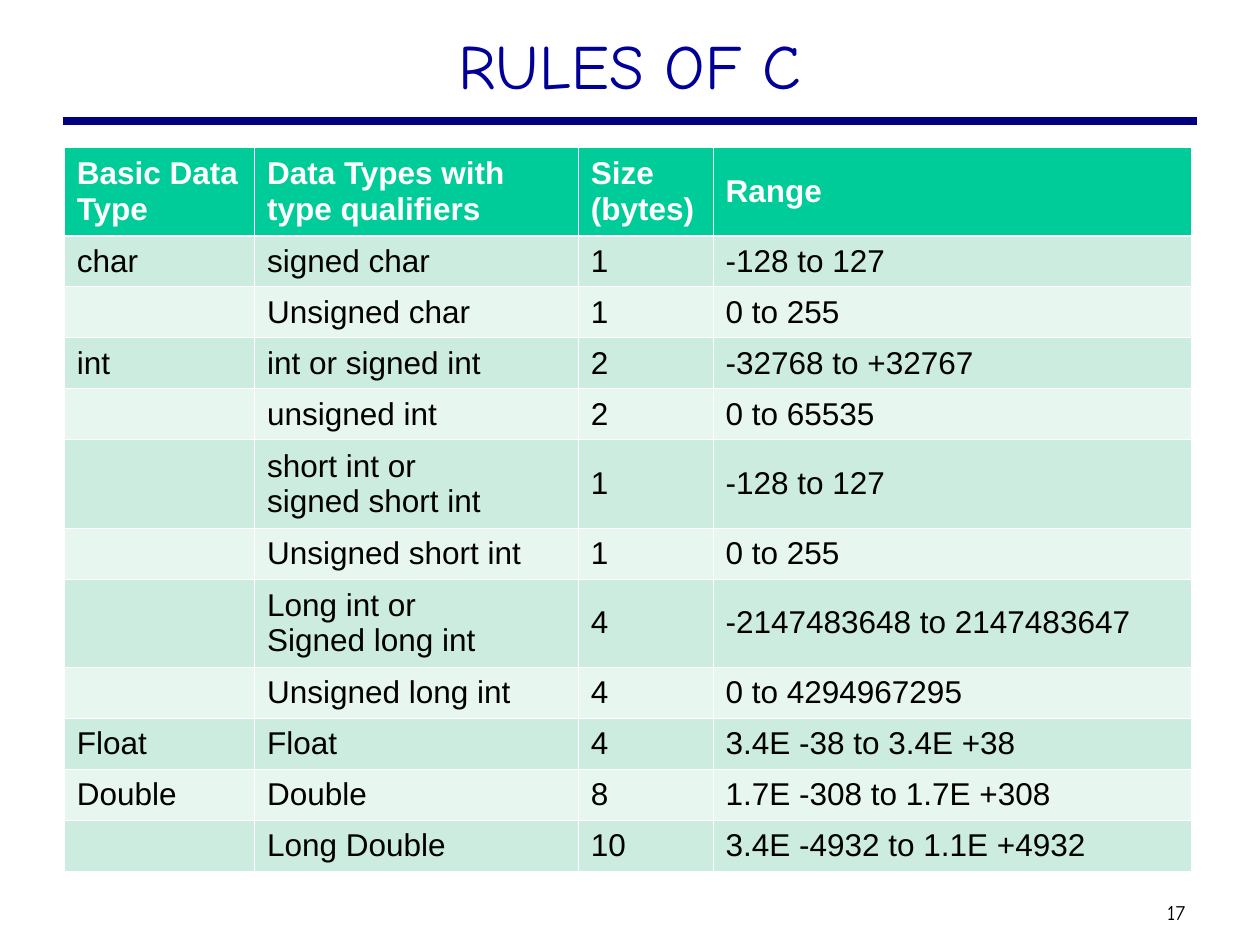
from lxml import etree
from pptx import Presentation
from pptx.dml.color import RGBColor
from pptx.enum.shapes import MSO_CONNECTOR
from pptx.enum.text import MSO_ANCHOR, PP_ALIGN
from pptx.oxml.ns import qn
from pptx.util import Inches, Pt

STRAIGHT = MSO_CONNECTOR.STRAIGHT
TOP, MIDDLE = MSO_ANCHOR.TOP, MSO_ANCHOR.MIDDLE
LEFT, CENTER = PP_ALIGN.LEFT, PP_ALIGN.CENTER

NAVY = RGBColor(0x00, 0x00, 0x80)
TITLE_BLUE = RGBColor(0x00, 0x00, 0x99)
BLACK = RGBColor(0x00, 0x00, 0x00)
WHITE = RGBColor(0xFF, 0xFF, 0xFF)
HEADER_GREEN = RGBColor(0x00, 0xCC, 0x99)
BAND_DARK = RGBColor(0xCB, 0xEC, 0xDE)
BAND_LIGHT = RGBColor(0xE7, 0xF6, 0xEF)

TITLE = "RULES OF C"
PAGE_NUMBER = "17"
HEADER = ("Basic Data Type", "Data Types with type qualifiers", "Size\n(bytes)", "Range")
DATA_TYPES = [
    ("char", "signed char", "1", "-128 to 127"),
    ("", "Unsigned char", "1", "0 to 255"),
    ("int", "int or signed int", "2", "-32768 to +32767"),
    ("", "unsigned int", "2", "0 to 65535"),
    ("", "short int or\nsigned short int", "1", "-128 to 127"),
    ("", "Unsigned short int", "1", "0 to 255"),
    ("", "Long int or\nSigned long int", "4", "-2147483648 to 2147483647"),
    ("", "Unsigned long int", "4", "0 to 4294967295"),
    ("Float", "Float", "4", "3.4E -38 to 3.4E +38"),
    ("Double", "Double", "8", "1.7E -308 to 1.7E +308"),
    ("", "Long Double", "10", "3.4E -4932 to 1.1E +4932"),
]
COLUMN_WIDTHS = (1.51, 2.57, 1.07, 3.8)
SINGLE_ROW, DOUBLE_ROW = 0.405, 0.7
THIN, THICK = 0.45, 1.47


def write(frame, text, size=18, font="Arial", color=BLACK, bold=False, align=LEFT):
    frame.word_wrap = True
    frame.text = text
    for para in frame.paragraphs:
        para.alignment = align
        para.font.size = Pt(size)
        for span in para.runs:
            span.font.size = Pt(size)
            span.font.name = font
            span.font.bold = bold
            span.font.color.rgb = color


def set_borders(cell, top, bottom):
    properties = cell._tc.get_or_add_tcPr()
    sides = (("L", THIN), ("R", THIN), ("T", top), ("B", bottom))
    for position, (side, width) in enumerate(sides):
        line = etree.Element(qn(f"a:ln{side}"), w=str(Pt(width)))
        fill = etree.SubElement(line, qn("a:solidFill"))
        etree.SubElement(fill, qn("a:srgbClr"), val=str(WHITE))
        properties.insert(position, line)


def add_rule(page):
    rule = page.shapes.add_connector(
        STRAIGHT, Inches(0.5), Inches(0.96), Inches(9.5), Inches(0.96))
    rule.line.color.rgb = NAVY
    rule.line.width = Pt(4.5)
    etree.SubElement(rule._element.spPr, qn("a:effectLst"))


def add_title(page):
    title = page.shapes.title
    title.left, title.top = Inches(0.75), Inches(0.16)
    title.width, title.height = Inches(8.5), Inches(0.8)
    title.text_frame.vertical_anchor = TOP
    write(title.text_frame, TITLE, size=36, font="Comic Neue", color=TITLE_BLUE, align=CENTER)


def add_page_number(page):
    box = page.shapes.add_textbox(Inches(9.1), Inches(7.09), Inches(0.47), Inches(0.3))
    frame = box.text_frame
    frame.margin_left = frame.margin_right = Inches(0.05)
    frame.vertical_anchor = MIDDLE
    write(frame, PAGE_NUMBER, size=12, font="Comic Neue", align=CENTER)


def add_type_table(page):
    rows = [HEADER, *DATA_TYPES]
    heights = [DOUBLE_ROW if row is HEADER or "\n" in row[1] else SINGLE_ROW for row in rows]
    table = page.shapes.add_table(
        len(rows), len(HEADER), Inches(0.51), Inches(1.17),
        Inches(sum(COLUMN_WIDTHS)), Inches(sum(heights))).table
    for column, width in zip(table.columns, COLUMN_WIDTHS):
        column.width = Inches(width)
    for index, (row, height) in enumerate(zip(rows, heights)):
        is_header = index == 0
        band = HEADER_GREEN if is_header else BAND_DARK if index % 2 else BAND_LIGHT
        table.rows[index].height = Inches(height)
        for cell, text in zip(table.rows[index].cells, row):
            cell.vertical_anchor = MIDDLE
            cell.fill.solid()
            cell.fill.fore_color.rgb = band
            set_borders(cell, THICK if index == 1 else THIN, THICK if is_header else THIN)
            write(cell.text_frame, text, color=WHITE if is_header else BLACK, bold=is_header)


def main():
    deck = Presentation()
    deck.slide_width, deck.slide_height = Inches(10), Inches(7.5)
    page = deck.slides.add_slide(deck.slide_layouts[5])
    add_rule(page)
    add_page_number(page)
    add_title(page)
    add_type_table(page)
    deck.save("out.pptx")


if __name__ == "__main__":
    main()
